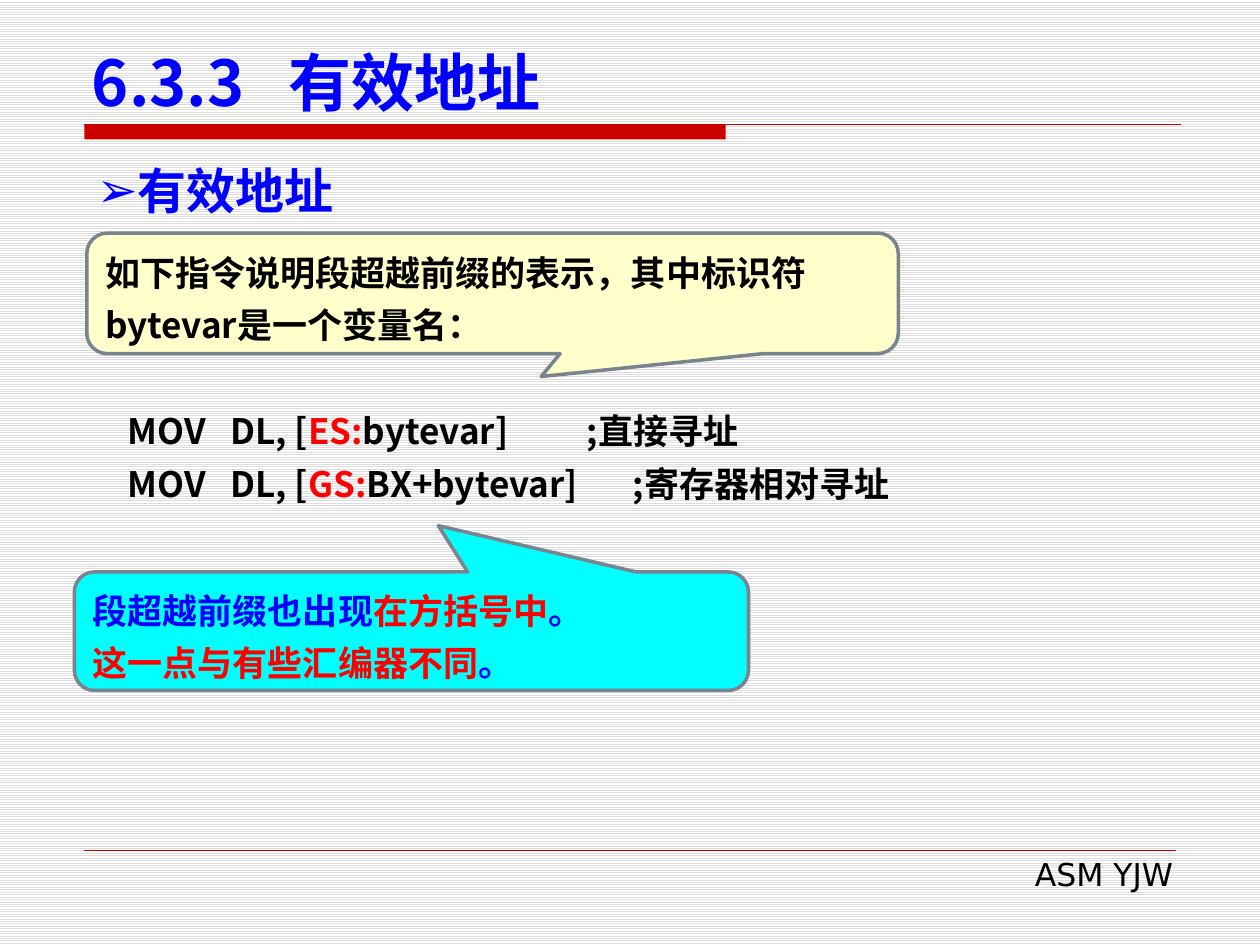
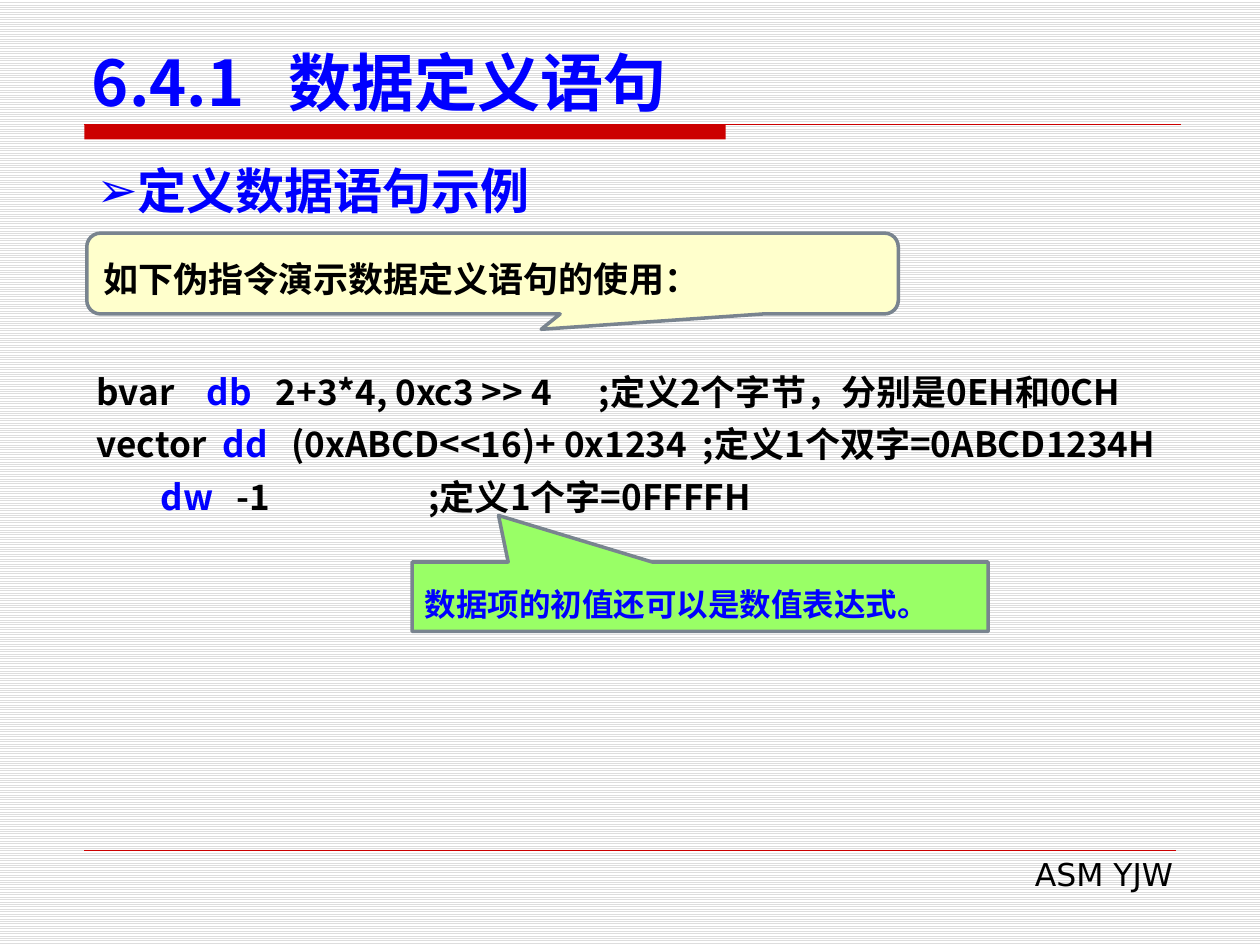
from dataclasses import dataclass

from lxml import etree
from pptx import Presentation
from pptx.dml.color import RGBColor
from pptx.enum import dml, shapes, text
from pptx.oxml import ns
from pptx.util import Cm, Pt


@dataclass(frozen=True)
class Theme:
    sans: str = "DejaVu Sans"
    cjk: str = "Noto Sans CJK SC"
    black: str = "000000"
    blue: str = "0000FF"
    red: str = "FF0000"
    band: str = "CC0000"
    outline: str = "79848F"
    cream: str = "FFFFCC"
    cyan: str = "00FFFF"
    green: str = "99FF66"
    stripe: str = "DDDDDD"
    paper: str = "FFFFFF"
    title: int = 36
    heading: int = 28
    body: int = 20
    small: int = 18
    leading: int = 30


THEME = Theme()
BLACK, BLUE, RED = THEME.black, THEME.blue, THEME.red
ROUND = shapes.MSO_SHAPE.ROUNDED_RECTANGULAR_CALLOUT
SQUARE = shapes.MSO_SHAPE.RECTANGULAR_CALLOUT

FOOTER = "ASM YJW"
LEFT = 1.7
TITLE_AREA = (1.6, 0.84, 22.23, 1.68)
HEADING_AREA = (LEFT, 3.12, 22, 1.45)
FOOTER_AREA = (9.7, 17.12, 14.2, 1.02)
BAND_TOP, BAND_WIDTH, BAND_HEIGHT, BAND_END = 2.51, 12.93, 0.3, 23.8
FOOT_LINE_TOP, FOOT_LINE_END = 17.14, 23.7
TITLE_TAB = 3.96
BULLET_INDENT = 0.83

# Lines are lists of (text, colour); code lines carry their tab stops in cm.
SLIDES = [
    {
        "title": "6.3.3\t有效地址",
        "heading": "有效地址",
        "code_area": (1.68, 7.92, 19.4, 2.39),
        "code": [
            ([0.65, 2.71, 9.9],
             [("\tMOV\tDL, [", BLACK), ("ES:", RED),
              ("bytevar]\t;直接寻址", BLACK)]),
            ([0.65, 2.71, 10.83],
             [("\tMOV\tDL, [", BLACK), ("GS:", RED),
              ("BX+bytevar]\t;寄存器相对寻址", BLACK)]),
        ],
        "callouts": [
            {"kind": ROUND, "area": (1.75, 4.7, 16.36, 2.43),
             "adjust": (0.06, 0.69, 0.17), "fill": THEME.cream,
             "font": THEME.cjk, "size": THEME.body,
             "lines": [[("如下指令说明段超越前缀的表示，其中标识符"
                         "bytevar是一个变量名：", BLACK)]]},
            {"kind": ROUND, "area": (1.5, 11.53, 13.59, 2.39),
             "adjust": (0.04, -0.89, 0.17), "fill": THEME.cyan,
             "font": THEME.sans, "size": THEME.body,
             "lines": [[("段超越前缀也出现", BLUE), ("在方括号中", RED),
                        ("。", BLUE)],
                       [("这一点与有些汇编器不同", RED), ("。", BLUE)]]},
        ],
    },
    {
        "title": "6.4.1\t数据定义语句",
        "heading": "定义数据语句示例",
        "code_area": (LEFT, 7.13, 23, 3.45),
        "code": [
            ([2.22, 3.61, 10.12],
             [("bvar\t", BLACK), ("db\t", BLUE),
              ("2+3*4, 0xc3 >> 4\t;定义2个字节，分别是0EH和0CH", BLACK)]),
            ([2.54, 3.93, 12.22],
             [("vector\t", BLACK), ("dd\t", BLUE),
              ("(0xABCD<<16)+ 0x1234\t;定义1个双字=0ABCD1234H", BLACK)]),
            ([1.29, 2.82, 6.69],
             [("\t", BLACK), ("dw\t", BLUE),
              ("-1\t;定义1个字=0FFFFH", BLACK)]),
        ],
        "callouts": [
            {"kind": ROUND, "area": (1.75, 4.7, 16.36, 1.63),
             "adjust": (0.06, 0.69, 0.17), "fill": THEME.cream,
             "font": THEME.cjk, "size": THEME.body,
             "lines": [[("如下伪指令演示数据定义语句的使用：", BLACK)]]},
            {"kind": SQUARE, "area": (8.31, 11.33, 11.61, 1.4),
             "adjust": (-0.35, -1.17), "fill": THEME.green,
             "font": THEME.sans, "size": THEME.small,
             "lines": [[("数据项的初值还可以是数值表达式。", BLUE)]]},
        ],
    },
]


def rgb(code):
    return RGBColor.from_string(code)


def cms(values):
    return [Cm(value) for value in values]


def add_xml(parent, tag, **attributes):
    return etree.SubElement(parent, ns.qn(tag), attributes)


def add_spans(para, spans, font, size, bold=True):
    for words, colour in spans:
        span = para.add_run()
        span.text = words
        span.font.name = font
        span.font.size = Pt(size)
        span.font.bold = bold
        span.font.color.rgb = rgb(colour)
        add_xml(span.font._element, "a:ea", typeface=font)


def set_tabs(para, stops):
    tabs = add_xml(para._p.get_or_add_pPr(), "a:tabLst")
    for stop in stops:
        add_xml(tabs, "a:tab", pos=str(Cm(stop)), algn="l")


def fill_lines(frame, lines, font, size):
    """Write lines at fixed leading and return their paragraphs."""
    paras = []
    for number, spans in enumerate(lines):
        para = frame.add_paragraph() if number else frame.paragraphs[0]
        para.alignment = text.PP_ALIGN.LEFT
        para.line_spacing = Pt(THEME.leading)
        add_spans(para, spans, font, size)
        paras.append(para)
    return paras


def add_text_box(page, area):
    frame = page.shapes.add_textbox(*cms(area)).text_frame
    frame.word_wrap = True
    frame.auto_size = text.MSO_AUTO_SIZE.SHAPE_TO_FIT_TEXT
    return frame


def add_rule(page, top, end, width):
    rule = page.shapes.add_connector(
        shapes.MSO_CONNECTOR.STRAIGHT, *cms((LEFT, top, end, top)))
    rule.line.color.rgb = rgb(THEME.band)
    rule.line.width = Pt(width)
    add_xml(rule._element.spPr, "a:effectLst")


def add_frame(page):
    """Add the band under the title and the footer."""
    band = page.shapes.add_shape(
        shapes.MSO_SHAPE.RECTANGLE,
        *cms((LEFT, BAND_TOP, BAND_WIDTH, BAND_HEIGHT)))
    band.shadow.inherit = False
    band.fill.solid()
    band.fill.fore_color.rgb = rgb(THEME.band)
    band.line.fill.background()
    add_rule(page, BAND_TOP, BAND_END, 0.75)
    add_rule(page, FOOT_LINE_TOP, FOOT_LINE_END, 0.25)
    para = add_text_box(page, FOOTER_AREA).paragraphs[0]
    para.alignment = text.PP_ALIGN.RIGHT
    add_spans(para, [(FOOTER, BLACK)], THEME.sans, THEME.small, bold=False)


def set_title(page, words):
    title = page.shapes.title
    title.left, title.top, title.width, title.height = cms(TITLE_AREA)
    frame = title.text_frame
    frame.auto_size = text.MSO_AUTO_SIZE.NONE
    frame.vertical_anchor = text.MSO_ANCHOR.BOTTOM
    para = frame.paragraphs[0]
    para.alignment = text.PP_ALIGN.LEFT
    set_tabs(para, [TITLE_TAB])
    add_spans(para, [(words, BLUE)], THEME.cjk, THEME.title)


def add_heading(page, words):
    para = add_text_box(page, HEADING_AREA).paragraphs[0]
    props = para._p.get_or_add_pPr()
    props.set("marL", str(Cm(BULLET_INDENT)))
    props.set("indent", str(-Cm(BULLET_INDENT)))
    add_xml(props, "a:buFont", typeface=THEME.sans)
    add_xml(props, "a:buChar", char="➢")
    add_spans(para, [(words, BLUE)], THEME.sans, THEME.heading)


def add_code(page, area, code):
    lines = [spans for _, spans in code]
    paras = fill_lines(add_text_box(page, area), lines, THEME.cjk, THEME.body)
    for para, (stops, _) in zip(paras, code):
        set_tabs(para, stops)


def add_callout(page, callout):
    box = page.shapes.add_shape(callout["kind"], *cms(callout["area"]))
    for number, value in enumerate(callout["adjust"]):
        box.adjustments[number] = value
    box.shadow.inherit = False
    box.fill.solid()
    box.fill.fore_color.rgb = rgb(callout["fill"])
    box.line.color.rgb = rgb(THEME.outline)
    box.line.width = Pt(2)
    frame = box.text_frame
    frame.word_wrap = True
    frame.vertical_anchor = text.MSO_ANCHOR.MIDDLE
    fill_lines(frame, callout["lines"], callout["font"], callout["size"])


def main():
    deck = Presentation()
    deck.slide_width, deck.slide_height = Cm(25.4), Cm(19.05)
    backdrop = deck.slide_master.background.fill
    backdrop.patterned()
    backdrop.pattern = dml.MSO_PATTERN.LIGHT_HORIZONTAL
    backdrop.fore_color.rgb = rgb(THEME.stripe)
    backdrop.back_color.rgb = rgb(THEME.paper)
    title_only = deck.slide_layouts.get_by_name("Title Only")
    for content in SLIDES:
        page = deck.slides.add_slide(title_only)
        add_frame(page)
        set_title(page, content["title"])
        add_heading(page, content["heading"])
        add_code(page, content["code_area"], content["code"])
        for callout in content["callouts"]:
            add_callout(page, callout)
    deck.save("out.pptx")


if __name__ == "__main__":
    main()
